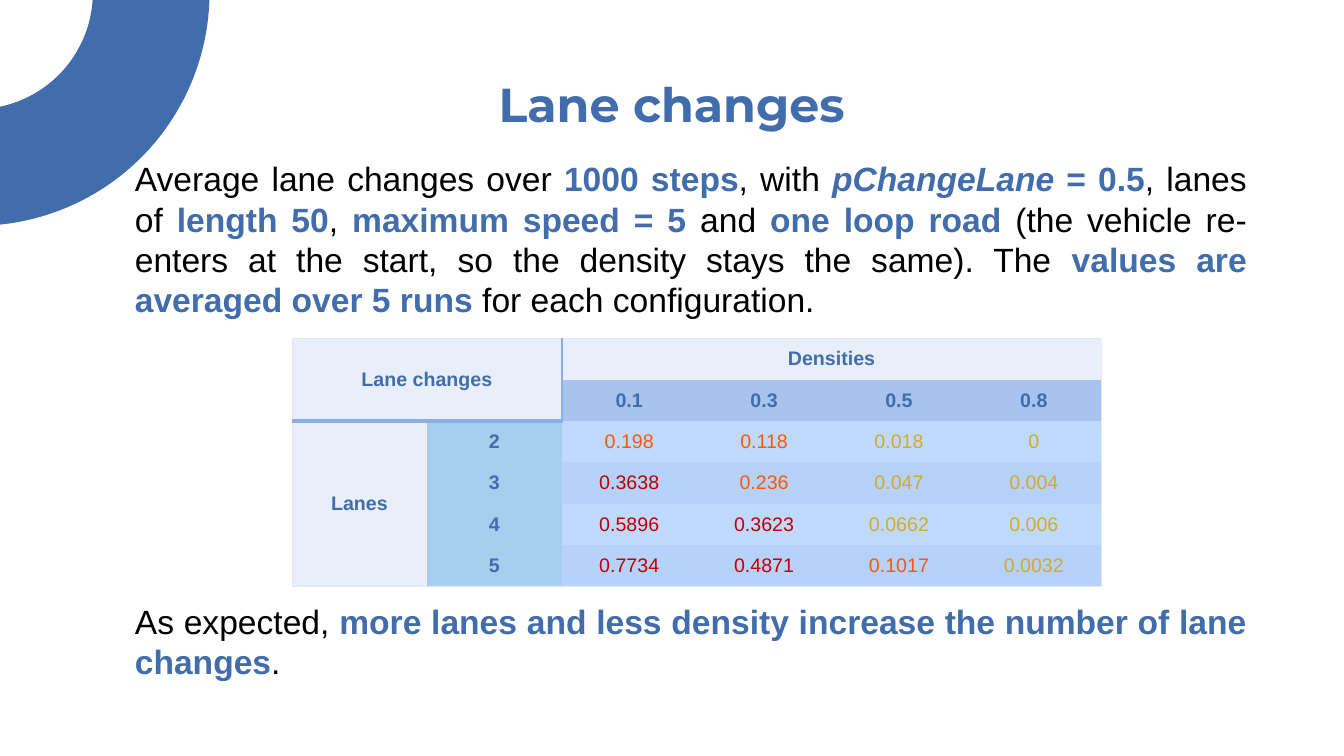
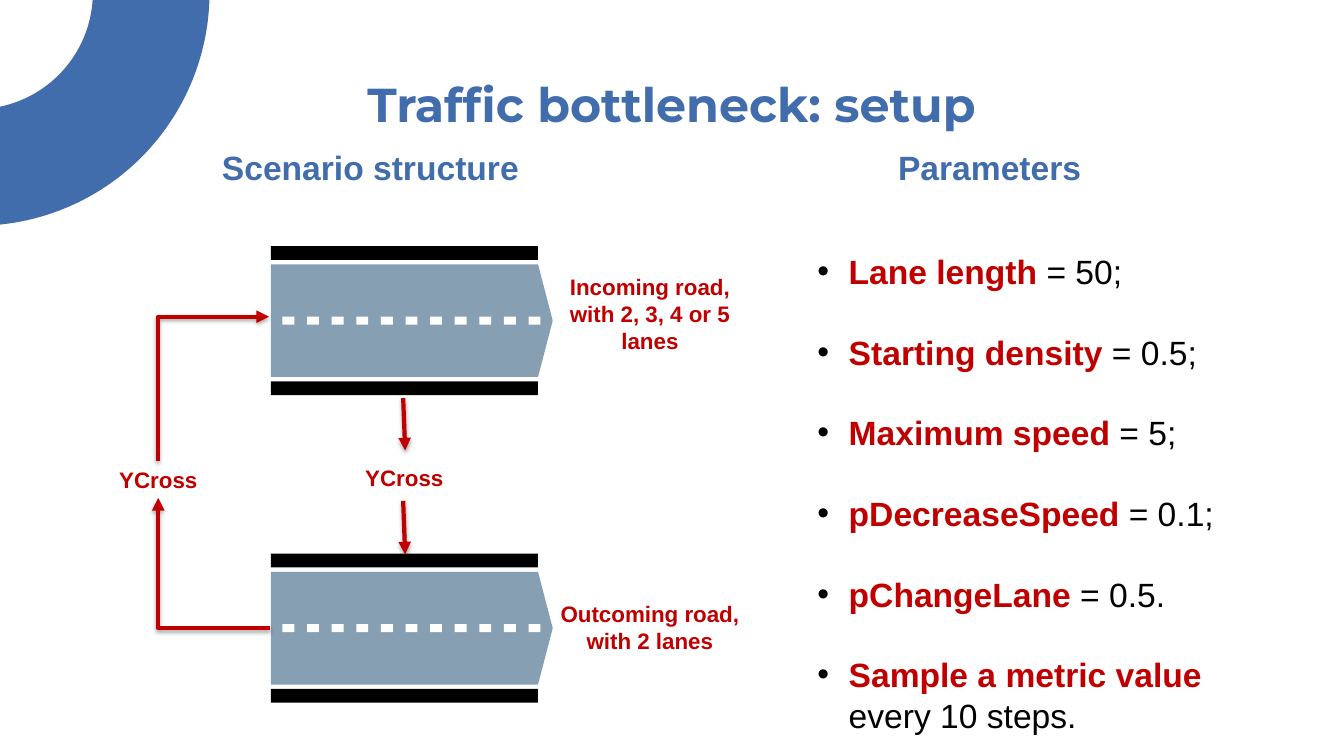
from lxml import etree
from pptx import Presentation
from pptx.dml.color import RGBColor
from pptx.enum.shapes import MSO_CONNECTOR, MSO_SHAPE
from pptx.enum.text import MSO_ANCHOR, PP_ALIGN
from pptx.oxml import parse_xml
from pptx.oxml.ns import nsdecls, qn
from pptx.util import Cm, Pt

CENTER, JUSTIFY, LEFT = PP_ALIGN.CENTER, PP_ALIGN.JUSTIFY, PP_ALIGN.LEFT
MIDDLE = MSO_ANCHOR.MIDDLE
STRAIGHT, ELBOW = MSO_CONNECTOR.STRAIGHT, MSO_CONNECTOR.ELBOW
ARC, RECTANGLE, ROAD = MSO_SHAPE.BLOCK_ARC, MSO_SHAPE.RECTANGLE, MSO_SHAPE.PENTAGON

COLORS = {
    "blue": "416DAC", "black": "000000", "white": "FFFFFF", "red": "C00000",
    "orange": "F85808", "gold": "D2AB2E", "asphalt": "869FB2",
    "heading": "E8EFFA", "density": "A7C3EE", "lane": "A7CEEE",
    "row": "C0D9FF", "band": "B6D1FA", "frame": "DEE9FA", "accent": "8CB0E4",
}
BODY_FONT, TITLE_FONT = "Arial", "Montserrat"
NO_STYLE = "{2D5ABB26-0587-4C30-8999-92F81FD0307C}"


def add_text(shapes, box, paragraphs, size, align=LEFT, font=BODY_FONT, inset=None):
    """Each paragraph is a list of (text, color, style); style holds b and/or i."""
    shape = shapes.add_textbox(*[Cm(length) for length in box])
    frame = shape.text_frame
    frame.word_wrap = True
    if inset:
        frame.margin_top = frame.margin_bottom = Cm(inset)
    for index, runs in enumerate(paragraphs):
        paragraph = frame.add_paragraph() if index else frame.paragraphs[0]
        paragraph.alignment = align
        for text, color, style in runs:
            run = paragraph.add_run()
            run.text = text
            run.font.name, run.font.size = font, Pt(size)
            run.font.bold, run.font.italic = "b" in style, "i" in style
            run.font.color.rgb = RGBColor.from_string(COLORS[color])
    return frame


def add_block(shapes, kind, box, color):
    shape = shapes.add_shape(kind, *[Cm(length) for length in box])
    shape.shadow.inherit = False
    shape.fill.solid()
    shape.fill.fore_color.rgb = RGBColor.from_string(COLORS[color])
    shape.line.fill.background()
    return shape


presentation = Presentation()
presentation.slide_width, presentation.slide_height = Cm(33.87), Cm(19.05)

# Shared corner arc and title
slides = []
for title in ("Lane changes", "Traffic bottleneck: setup"):
    slide = presentation.slides.add_slide(presentation.slide_layouts[6])
    arc = add_block(slide.shapes, ARC, (-6.48, -6.07, 11.76, 11.76), "blue")
    arc.adjustments[0], arc.adjustments[1], arc.adjustments[2] = 0, 54, 0.25
    add_text(slide.shapes, (2.67, 1.65, 28.52, 2.13), [[(title, "blue", "b")]],
             34, CENTER, TITLE_FONT, 0.25)
    slides.append(slide)
lane_changes, bottleneck = [slide.shapes for slide in slides]

# Lane changes: text above and below the table
add_text(lane_changes, (3.15, 3.86, 28.52, 4.37), [[
    ("Average lane changes over ", "black", ""),
    ("1000 steps", "blue", "b"),
    (", with ", "black", ""),
    ("pChangeLane", "blue", "bi"),
    (" = 0.5", "blue", "b"),
    (", lanes of ", "black", ""),
    ("length 50", "blue", "b"),
    (", ", "black", ""),
    ("maximum speed = 5 ", "blue", "b"),
    ("and ", "black", ""),
    ("one loop road ", "blue", "b"),
    ("(the vehicle re-enters at the start, so the density stays the same). The ",
     "black", ""),
    ("values are averaged over 5 runs ", "blue", "b"),
    ("for each configuration.", "black", ""),
]], 24, JUSTIFY)
add_text(lane_changes, (3.15, 15.01, 28.52, 2.31), [[
    ("As expected, ", "black", ""),
    ("more lanes and less density increase the number of lane changes", "blue", "b"),
    (".", "black", ""),
]], 24, JUSTIFY)

# Lane changes: table
rows = [
    ["Lane changes", "", "Densities", "", "", ""],
    ["", "", "0.1", "0.3", "0.5", "0.8"],
    ["Lanes", "2", "0.198", "0.118", "0.018", "0"],
    ["", "3", "0.3638", "0.236", "0.047", "0.004"],
    ["", "4", "0.5896", "0.3623", "0.0662", "0.006"],
    ["", "5", "0.7734", "0.4871", "0.1017", "0.0032"],
]
row_count, column_count = len(rows), len(rows[0])
table = lane_changes.add_table(row_count, column_count, Cm(7.36), Cm(8.53),
                               Cm(20.4), Cm(6.24)).table
table.first_row = table.horz_banding = False
table._tbl.tblPr.find(qn("a:tableStyleId")).text = NO_STYLE
for row in table.rows:
    row.height = Cm(1.04)
for first, last in (((0, 0), (1, 1)), ((0, 2), (0, 5)), ((2, 0), (5, 0))):
    table.cell(*first).merge(table.cell(*last))

for row, texts in enumerate(rows):
    for column, text in enumerate(texts):
        cell = table.cell(row, column)
        is_value = row > 1 and column > 1

        # Frame around the table, accent lines beside the corner cell
        borders = {}
        if column == 0:
            borders["lnL"] = ("frame", 0.75)
        if column + cell.span_width == column_count:
            borders["lnR"] = ("frame", 0.75)
        if row == 0:
            borders["lnT"] = ("frame", 0.75)
        if row + cell.span_height == row_count:
            borders["lnB"] = ("frame", 0.75)
        if row < 2 and column < 2:
            borders["lnR"], borders["lnB"] = ("accent", 2), ("accent", 3)
        properties = cell._tc.get_or_add_tcPr()
        for side in ("lnL", "lnR", "lnT", "lnB"):
            if side in borders:
                color, width = borders[side]
                properties.append(parse_xml(
                    f'<a:{side} {nsdecls("a")} w="{Pt(width)}"><a:solidFill>'
                    f'<a:srgbClr val="{COLORS[color]}"/></a:solidFill></a:{side}>'))

        # Fill by region
        if is_value:
            fill = "band" if row % 2 else "row"
        elif row == 1 and column > 1:
            fill = "density"
        elif row > 1 and column == 1:
            fill = "lane"
        else:
            fill = "heading"
        cell.fill.solid()
        cell.fill.fore_color.rgb = RGBColor.from_string(COLORS[fill])
        cell.vertical_anchor = MIDDLE
        if not text:
            continue

        # Values are coloured by size
        color = "blue"
        if is_value:
            value = float(text)
            color = "red" if value > 0.3 else "orange" if value > 0.1 else "gold"
        paragraph = cell.text_frame.paragraphs[0]
        paragraph.alignment = CENTER
        run = paragraph.add_run()
        run.text = text
        run.font.name, run.font.size, run.font.bold = BODY_FONT, Pt(14), not is_value
        run.font.color.rgb = RGBColor.from_string(COLORS[color])

# Bottleneck: column headings
for text, left, width in (("Scenario structure", 3.38, 11.91),
                          ("Parameters", 18.82, 12.24)):
    add_text(bottleneck, (left, 3.58, width, 1.27), [[(text, "blue", "b")]], 24, CENTER)

# Bottleneck: two roads with curbs and lane dashes
for top in (6.2, 13.95):
    road = add_block(bottleneck, ROAD, (6.83, top + 0.46, 7.1, 2.84), "asphalt")
    road.adjustments[0] = 0.13
    for curb_top in (top, top + 3.41):
        add_block(bottleneck, RECTANGLE, (6.83, curb_top, 6.73, 0.35), "black")
    for dash in range(11):
        add_block(bottleneck, RECTANGLE,
                  (7.12 + 0.62 * dash, top + 1.78, 0.3, 0.2), "white")

# Bottleneck: arrows, elbows run sideways first and then up or down
for kind, start, end, arrow_end in (
        (STRAIGHT, (10.16, 10.03), (10.21, 11.35), "tailEnd"),
        (STRAIGHT, (10.16, 12.62), (10.21, 13.97), "tailEnd"),
        (ELBOW, (6.81, 15.82), (3.99, 12.55), "tailEnd"),
        (ELBOW, (6.78, 7.98), (3.99, 11.61), "headEnd")):
    connector = bottleneck.add_connector(kind, *[Cm(length) for length in start + end])
    connector.line.width = Pt(3)
    connector.line.color.rgb = RGBColor.from_string(COLORS["red"])
    properties = connector._element.spPr
    if kind == ELBOW:
        properties.find(qn("a:prstGeom")).set("prst", "bentConnector2")
    etree.SubElement(properties.find(qn("a:ln")), qn(f"a:{arrow_end}"), type="triangle")
    properties.append(parse_xml(
        f'<a:effectLst {nsdecls("a")}><a:outerShdw blurRad="{Pt(3.1)}" '
        f'dist="{Pt(1.8)}" dir="5400000" rotWithShape="0">'
        f'<a:srgbClr val="{COLORS["black"]}"><a:alpha val="35000"/></a:srgbClr>'
        f'</a:outerShdw></a:effectLst>'))

# Bottleneck: diagram labels
for text, left, top, height in (
        ("Incoming road, with 2, 3, 4 or 5 lanes", 13.56, 6.76, 2.31),
        ("Outcoming road, with 2 lanes", 13.56, 15.01, 1.63),
        ("YCross", 7.37, 11.56, 0.94),
        ("YCross", 1.17, 11.61, 0.94)):
    add_text(bottleneck, (left, top, 5.64, height), [[(text, "red", "b")]], 16, CENTER)

# Bottleneck: parameter list
parameters = [
    ("Lane length ", "= 50;"),
    ("Starting density ", "= 0.5;"),
    ("Maximum speed ", "= 5;"),
    ("pDecreaseSpeed", " = 0.1;"),
    ("pChangeLane", " = 0.5."),
    ("Sample a metric value ", "every 10 steps."),
]
frame = add_text(bottleneck, (20.35, 6.2, 10.82, 12.57),
                 [[(name, "red", "b"), (value, "black", "")]
                  for name, value in parameters], 24)
for index, paragraph in enumerate(frame.paragraphs):
    paragraph.space_before = Pt(28.8 if index else 0)
    properties = paragraph._p.get_or_add_pPr()
    properties.set("marL", str(Cm(0.79)))
    properties.set("indent", str(-Cm(0.79)))
    properties.append(parse_xml(
        f'<a:buClr {nsdecls("a")}><a:srgbClr val="{COLORS["black"]}"/></a:buClr>'))
    properties.append(parse_xml(f'<a:buFont {nsdecls("a")} typeface="Arial"/>'))
    properties.append(parse_xml(f'<a:buChar {nsdecls("a")} char="•"/>'))

presentation.save("out.pptx")
